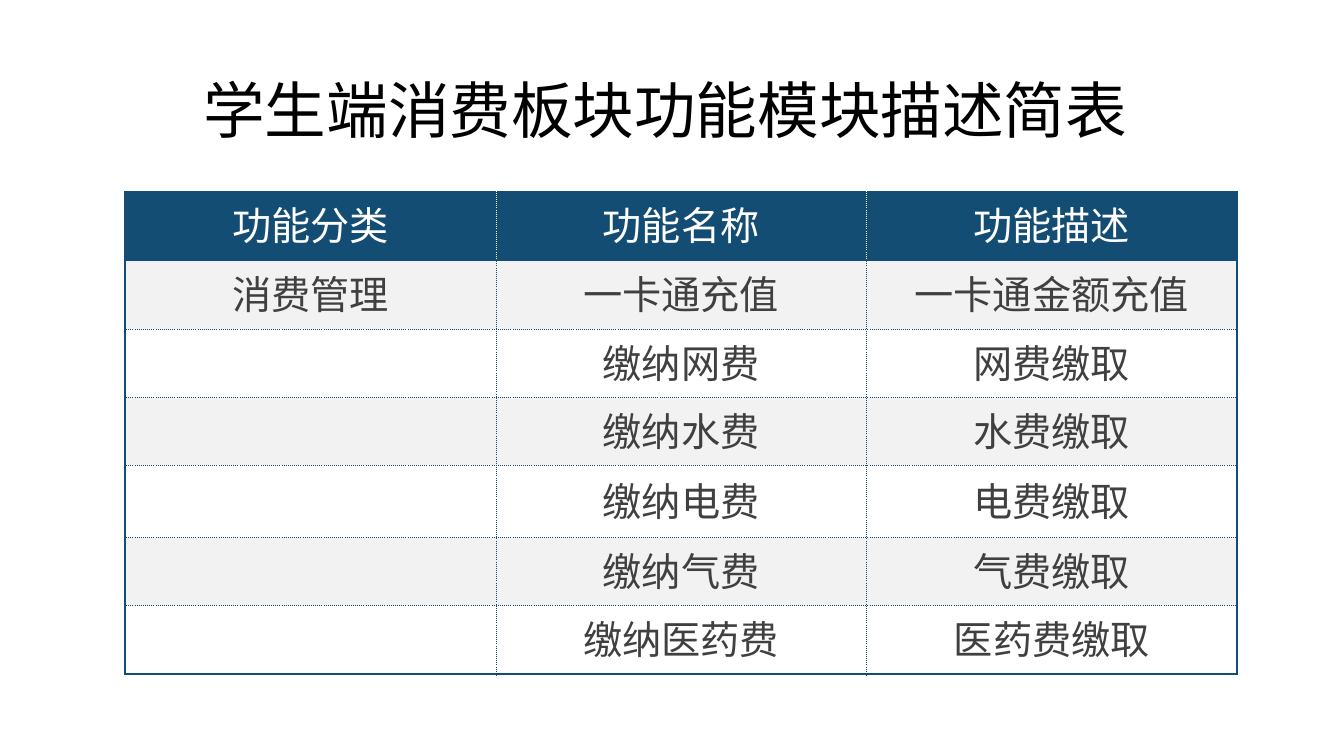
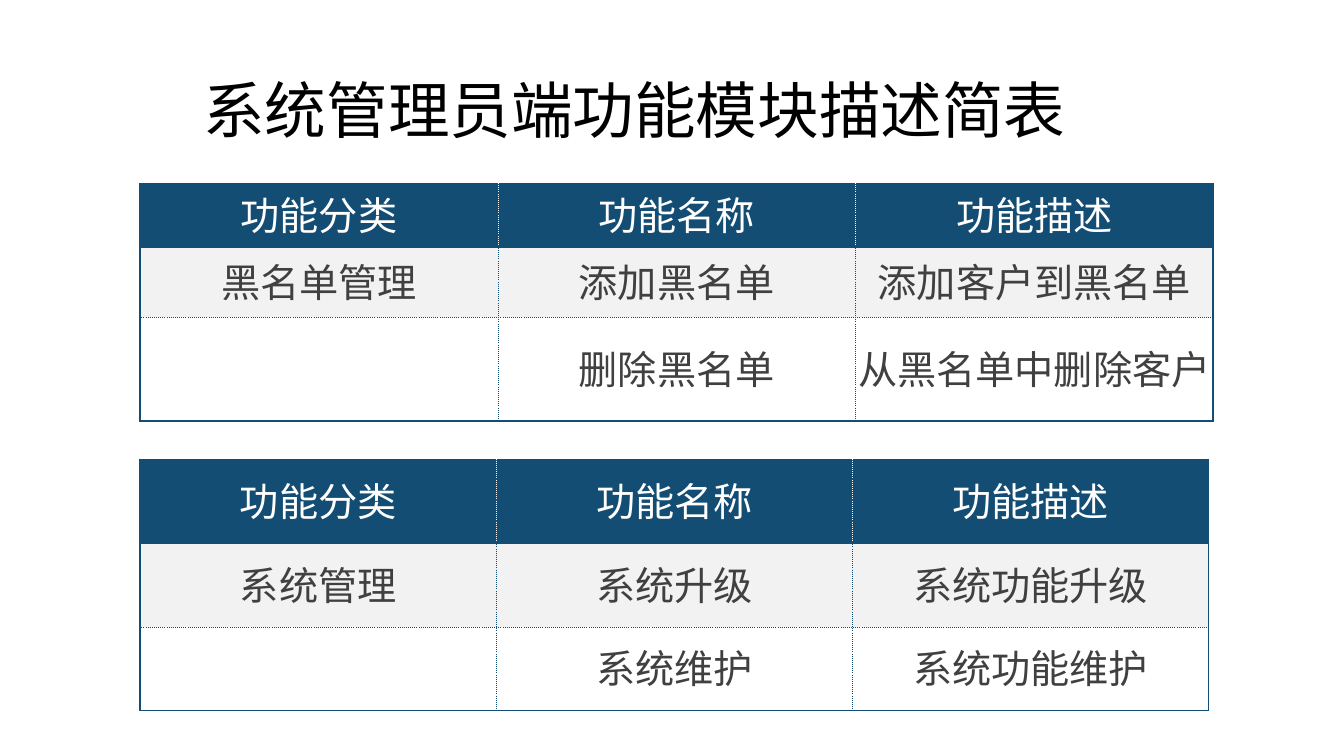
from dataclasses import dataclass

from lxml import etree
from pptx import Presentation
from pptx.dml.color import RGBColor
from pptx.enum.text import MSO_ANCHOR, MSO_AUTO_SIZE, PP_ALIGN
from pptx.oxml.ns import qn
from pptx.util import Pt

LEFT, CENTER = PP_ALIGN.LEFT, PP_ALIGN.CENTER
MIDDLE = MSO_ANCHOR.MIDDLE
NO_AUTOFIT = MSO_AUTO_SIZE.NONE

NAVY = RGBColor(0x14, 0x4D, 0x73)
WHITE = RGBColor(0xFF, 0xFF, 0xFF)
STRIPE = RGBColor(0xF2, 0xF2, 0xF2)
BODY_GRAY = RGBColor(0x40, 0x40, 0x40)
BLACK = RGBColor(0, 0, 0)

FONT = "Arial"
HEADINGS = ("功能分类", "功能名称", "功能描述")


@dataclass(frozen=True)
class Border:
    color: RGBColor
    width: float
    dash: str


SOLID = Border(NAVY, 1.5, "solid")
DOTTED = Border(NAVY, 0.25, "dot")
DOTTED_WHITE = Border(WHITE, 0.25, "dot")


@dataclass(frozen=True)
class FeatureTable:
    left: float
    top: float
    column_width: float
    row_heights: tuple[float, ...]
    category: str
    features: tuple[tuple[str, str], ...]

    def rows(self) -> list[tuple[str, ...]]:
        body = [
            (self.category if index == 0 else "", name, description)
            for index, (name, description) in enumerate(self.features)
        ]
        return [HEADINGS, *body]


@dataclass(frozen=True)
class FeaturePage:
    title: str
    tables: tuple[FeatureTable, ...]


PAGES = (
    FeaturePage(
        "学生端消费板块功能模块描述简表",
        (
            FeatureTable(
                89.3, 136.8, 264.8, (49, 49, 49, 48.4, 51.4, 49, 49), "消费管理",
                (
                    ("一卡通充值", "一卡通金额充值"),
                    ("缴纳网费", "网费缴取"),
                    ("缴纳水费", "水费缴取"),
                    ("缴纳电费", "电费缴取"),
                    ("缴纳气费", "气费缴取"),
                    ("缴纳医药费", "医药费缴取"),
                ),
            ),
        ),
    ),
    FeaturePage(
        "系统管理员端功能模块描述简表",
        (
            FeatureTable(
                100.1, 131.4, 255.5, (38.4, 50.4, 74.2), "黑名单管理",
                (
                    ("添加黑名单", "添加客户到黑名单"),
                    ("删除黑名单", "从黑名单中删除客户"),
                ),
            ),
            FeatureTable(
                100.1, 328.2, 254.4, (59.8, 59.8, 59.8), "系统管理",
                (
                    ("系统升级", "系统功能升级"),
                    ("系统维护", "系统功能维护"),
                ),
            ),
        ),
    ),
)


def write_text(frame, text: str, *, size: float, color: RGBColor,
               align=CENTER, line_spacing: float = 1.0) -> None:
    para = frame.paragraphs[0]
    para.alignment = align
    para.line_spacing = line_spacing
    span = para.add_run()
    span.text = text
    span.font.name = FONT
    span.font.size = Pt(size)
    span.font.color.rgb = color


def place_title(page, text: str) -> None:
    box = page.shapes.title
    box.left, box.top, box.width, box.height = Pt(66), Pt(28.8), Pt(828), Pt(104.4)
    frame = box.text_frame
    frame.auto_size = NO_AUTOFIT
    frame.word_wrap = True
    frame.vertical_anchor = MIDDLE
    frame.margin_left = Pt(79.2)
    write_text(frame, text, size=44, color=BLACK, align=LEFT, line_spacing=0.9)


def set_borders(cell, borders: dict[str, Border]) -> None:
    properties = cell._tc.get_or_add_tcPr()
    for position, (side, border) in enumerate(borders.items()):
        line = etree.Element(qn(f"a:ln{side}"), w=str(Pt(border.width)))
        fill = etree.SubElement(line, qn("a:solidFill"))
        etree.SubElement(fill, qn("a:srgbClr"), val=str(border.color))
        etree.SubElement(line, qn("a:prstDash"), val=border.dash)
        properties.insert(position, line)


def format_cell(cell, text: str, row: int, column: int, last_row: int) -> None:
    is_header = row == 0
    cell.fill.solid()
    cell.fill.fore_color.rgb = NAVY if is_header else STRIPE if row % 2 else WHITE
    cell.vertical_anchor = MIDDLE
    cell.margin_left = cell.margin_right = cell.margin_top = Pt(0.75)
    cell.margin_bottom = Pt(3.6)
    inner = DOTTED_WHITE if is_header else DOTTED
    set_borders(cell, {
        "L": SOLID if column == 0 else inner,
        "R": SOLID if column == len(HEADINGS) - 1 else inner,
        "T": SOLID if row <= 1 else DOTTED,
        "B": SOLID if row in (0, last_row) else DOTTED,
    })
    if text:
        write_text(cell.text_frame, text, size=28,
                   color=WHITE if is_header else BODY_GRAY)


def draw_table(page, feature_table: FeatureTable) -> None:
    rows = feature_table.rows()
    table = page.shapes.add_table(
        len(rows), len(HEADINGS), Pt(feature_table.left), Pt(feature_table.top),
        Pt(feature_table.column_width * len(HEADINGS)),
        Pt(sum(feature_table.row_heights)),
    ).table
    table.first_row = table.horz_banding = False
    for column in table.columns:
        column.width = Pt(feature_table.column_width)
    for row, (texts, height) in enumerate(zip(rows, feature_table.row_heights)):
        table.rows[row].height = Pt(height)
        for column, text in enumerate(texts):
            format_cell(table.cell(row, column), text, row, column, len(rows) - 1)


def main() -> None:
    deck = Presentation()
    deck.slide_width, deck.slide_height = Pt(960), Pt(540)
    title_only = deck.slide_layouts.get_by_name("Title Only")
    for feature_page in PAGES:
        page = deck.slides.add_slide(title_only)
        place_title(page, feature_page.title)
        for feature_table in feature_page.tables:
            draw_table(page, feature_table)
    deck.save("out.pptx")


if __name__ == "__main__":
    main()
